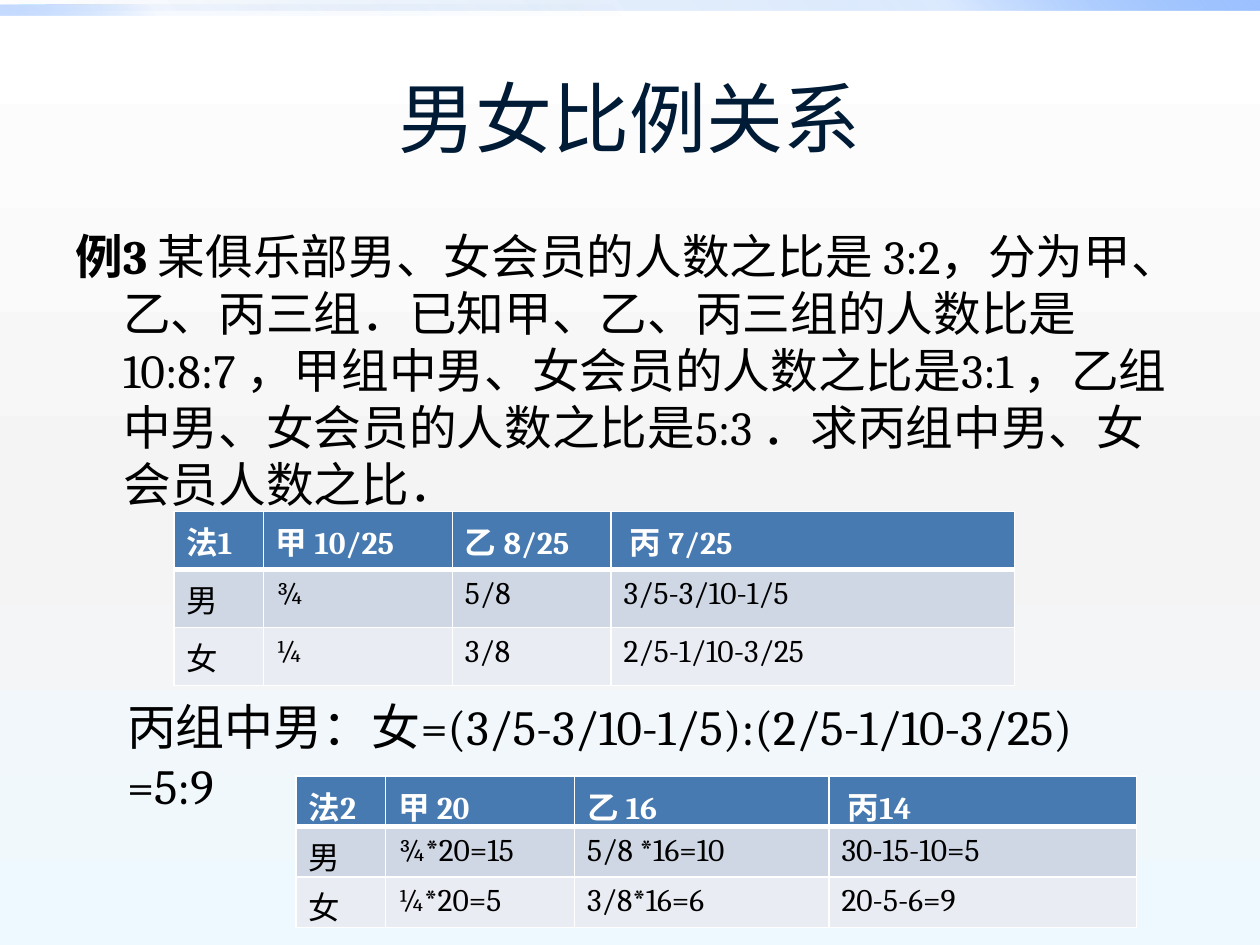
"""Build a slide on the ratio of men to women, with two worked tables."""
from lxml.etree import SubElement
from pptx import Presentation
from pptx.dml.color import RGBColor
from pptx.enum.shapes import MSO_SHAPE
from pptx.enum.text import MSO_ANCHOR, PP_ALIGN
from pptx.oxml.ns import qn
from pptx.util import Inches, Pt

NAVY = RGBColor(0x00, 0x1B, 0x36)
BLACK = RGBColor(0x00, 0x00, 0x00)
WHITE = RGBColor(0xFF, 0xFF, 0xFF)
HEAD = RGBColor(0x47, 0x7A, 0xB1)
DARK = RGBColor(0xCF, 0xD7, 0xE4)
LIGHT = RGBColor(0xE9, 0xEC, 0xF2)
GREY = RGBColor(0xF4, 0xF4, 0xF4)
ICE = RGBColor(0xEE, 0xF9, 0xFF)
DEEP = RGBColor(0x00, 0x58, 0xB7)
BLUE = RGBColor(0x4F, 0x95, 0xFF)
SKY = RGBColor(0x9E, 0xC2, 0xFF)


def shade(fill, node, angle, stops):
    fill.gradient()
    grad = node.find(".//" + qn("a:gradFill"))
    for child in list(grad):
        grad.remove(child)
    group = SubElement(grad, qn("a:gsLst"))
    for place, color, alpha in stops:
        stop = SubElement(group, qn("a:gs"), pos=str(place * 1000))
        tint = SubElement(stop, qn("a:srgbClr"), val=str(color))
        if alpha < 100:
            SubElement(tint, qn("a:alpha"), val=str(alpha * 1000))
    SubElement(grad, qn("a:lin"), ang=str(angle * 60000), scaled="0")


def write(para, text, size, color, bold=False, face="Cambria"):
    run = para.add_run()
    run.text = text
    run.font.size = Pt(size)
    run.font.name = face
    run.font.bold = bold
    run.font.color.rgb = color


prs = Presentation()
prs.slide_width, prs.slide_height = Inches(10), Inches(7.5)
slide = prs.slides.add_slide(prs.slide_layouts[6])
back = slide.background.fill
shade(back, slide.element, 90, [(0, WHITE, 100), (55, GREY, 100), (100, ICE, 100)])

bars = [
    (0, 10, 315, (0, 20, 100)),
    (0.04, 5, 135, (0, 5, 60)),
]
for top, width, angle, fade in bars:
    bar = slide.shapes.add_shape(
        MSO_SHAPE.RECTANGLE, 0, Inches(top), Inches(width), Inches(0.08))
    bar.shadow.inherit = False
    bar.line.fill.background()
    shade(bar.fill, bar.element, angle, zip((0, 75, 100), (DEEP, BLUE, SKY), fade))

frames = []
for box in [(0.5, 0.3, 9, 1.25), (0.5, 1.75, 9, 2), (0.91, 5.48, 8.35, 1.04)]:
    frame = slide.shapes.add_textbox(*map(Inches, box)).text_frame
    frame.word_wrap = True
    frames.append(frame)
title, body, sums = frames

title.vertical_anchor = MSO_ANCHOR.MIDDLE
para = title.paragraphs[0]
para.alignment = PP_ALIGN.CENTER
write(para, "男女比例关系", 44, NAVY, face="Lato")

para = body.paragraphs[0]
props = para._p.get_or_add_pPr()
props.set("marL", str(Inches(0.38)))
props.set("indent", str(-Inches(0.38)))
write(para, "例3 ", 27.2, BLACK, True)
write(para, "某俱乐部男、女会员的人数之比是 3:2，分为甲、乙、丙三组．"
      "已知甲、乙、丙三组的人数比是10:8:7 ，甲组中男、女会员的人数之比是3:1 ，"
      "乙组中男、女会员的人数之比是5:3 ．求丙组中男、女会员人数之比．", 27.2, BLACK)

write(sums.paragraphs[0], "丙组中男：女=(3/5-3/10-1/5):(2/5-1/10-3/25)", 28, BLACK)
write(sums.add_paragraph(), "=5:9", 28, BLACK)

tables = [
    (1.38, 4.06, 0.46, (0.71, 1.5, 1.26, 3.2), [
        ("法1", "甲 10/25", "乙 8/25", "丙 7/25"),
        ("男", "¾", "5/8", "3/5-3/10-1/5"),
        ("女", "¼", "3/8", "2/5-1/10-3/25")]),
    (2.35, 6.16, 0.4, (0.71, 1.5, 2.02, 2.44), [
        ("法2", "甲 20", "乙 16", "丙14"),
        ("男", "¾*20=15", "5/8 *16=10", "30-15-10=5"),
        ("女", "¼*20=5", "3/8*16=6", "20-5-6=9")]),
]
for left, top, tall, widths, rows in tables:
    grid = slide.shapes.add_table(
        3, 4, Inches(left), Inches(top), Inches(6.67), Inches(3 * tall)).table
    for col, width in zip(grid.columns, widths):
        col.width = Inches(width)
    for r, row in enumerate(rows):
        grid.rows[r].height = Inches(tall)
        for c, text in enumerate(row):
            cell = grid.cell(r, c)
            cell.margin_bottom = 0
            if r == 0 and c == 3:
                cell.margin_left = Inches(0.15)
            props = cell._tc.get_or_add_tcPr()
            for side in "LRTB":
                thick = 3 if (r, side) in ((0, "B"), (1, "T")) else 1
                edge = SubElement(props, qn("a:ln" + side), w=str(Pt(thick)))
                ink = SubElement(edge, qn("a:solidFill"))
                SubElement(ink, qn("a:srgbClr"), val=str(WHITE))
            cell.fill.solid()
            cell.fill.fore_color.rgb = (HEAD, DARK, LIGHT)[r]
            write(cell.text_frame.paragraphs[0], text, 18,
                  BLACK if r else WHITE, r == 0)

prs.save("out.pptx")
